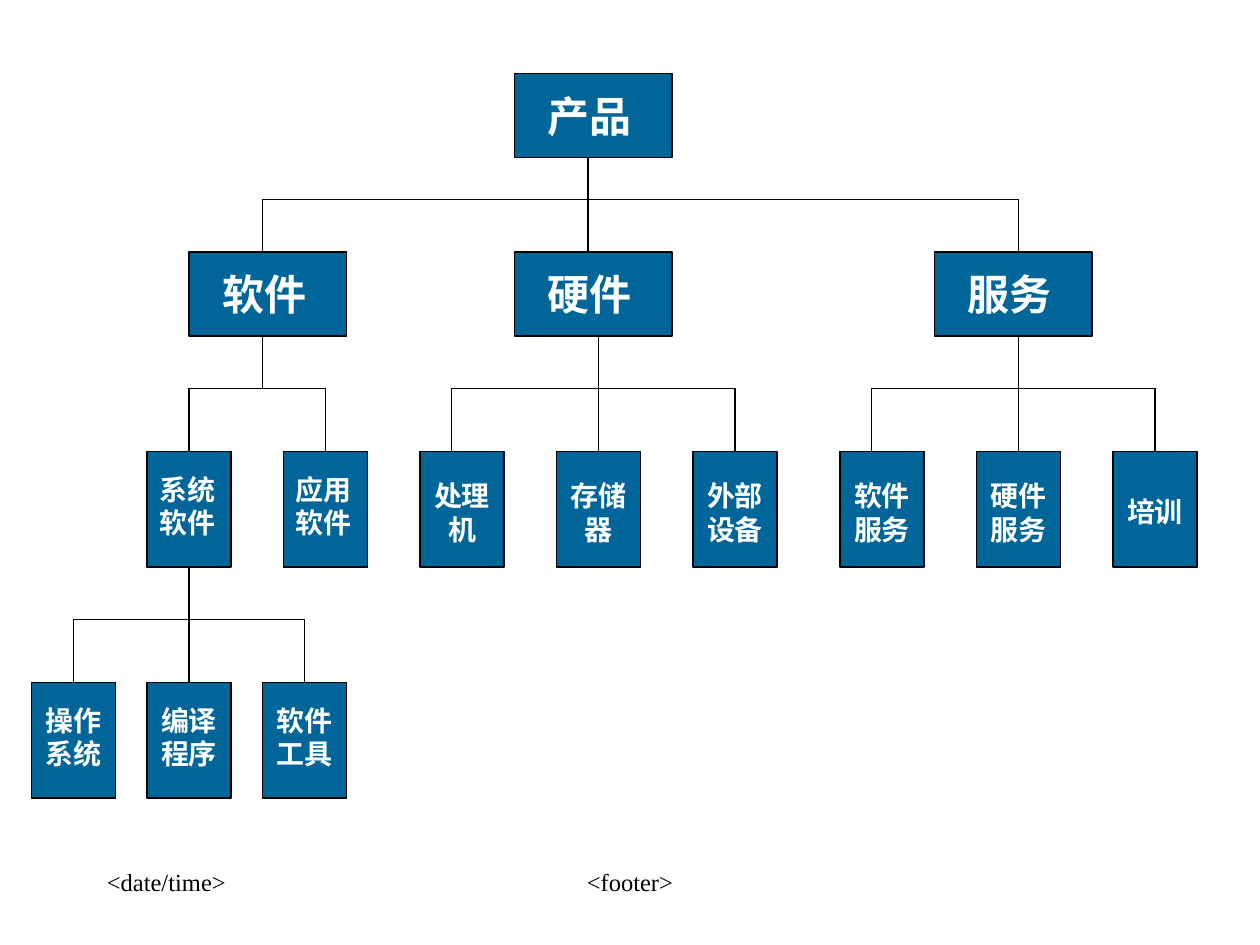
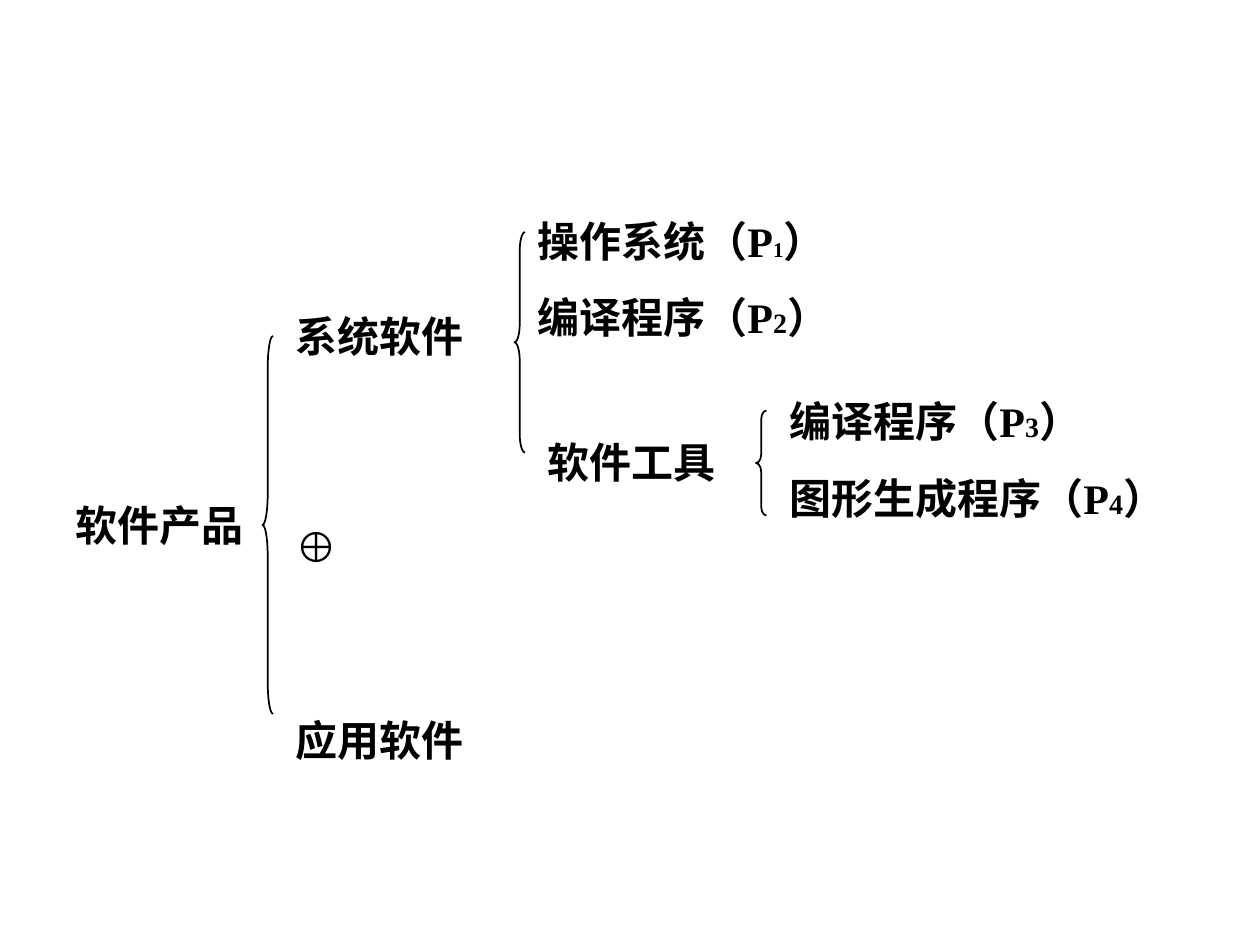
from lxml.etree import SubElement
from pptx import Presentation
from pptx.dml.color import RGBColor
from pptx.enum.shapes import MSO_CONNECTOR, MSO_SHAPE
from pptx.enum.text import MSO_ANCHOR, MSO_AUTO_SIZE, PP_ALIGN
from pptx.oxml.ns import qn
from pptx.util import Inches, Pt

COLUMNS, ROWS = 120, 90
BLACK, WHITE, BLUE = "000000", "FFFFFF", "006699"
SERIF, SANS = "Times New Roman", "Arial"
CENTER = PP_ALIGN.CENTER


def color(target, value):
    target.rgb = RGBColor.from_string(value)


def write(tf, paragraphs, size=24, font=SERIF, ink=BLACK, bold=True, align=None, gaps=()):
    for i, runs in enumerate(paragraphs):
        p = tf.add_paragraph() if i else tf.paragraphs[0]
        if align is not None:
            p.alignment = align
        if i:
            p.space_before = Pt(gaps[i - 1])
        for words, style in runs:
            r = p.add_run()
            r.text = words
            r.font.size = Pt(style.get("size", size))
            r.font.name = style.get("font", font)
            r.font.bold = bold
            color(r.font.color, ink)


def plain(words, **style):
    return [(words, style)]


def program(name, number, size=16):
    return [(f"{name}（P", {}), (number, {"size": size}), ("）", {})]


class Deck:
    def __init__(self):
        self.prs = Presentation()
        self.prs.slide_width, self.prs.slide_height = Inches(10), Inches(7.5)
        self.s = None

    def new_slide(self):
        self.s = self.prs.slides.add_slide(self.prs.slide_layouts[6])

    def grid(self, x, y):
        return (int(x * self.prs.slide_width / COLUMNS),
                int(y * self.prs.slide_height / ROWS))

    def area(self, x, y, w, h):
        return *self.grid(x, y), *self.grid(w, h)

    def outline(self, sp):
        color(sp.line.color, BLACK)
        sp.line.width = Pt(1)

    def text(self, x, y, w, h, paragraphs, grow=True, **style):
        tf = self.s.shapes.add_textbox(*self.area(x, y, w, h)).text_frame
        tf.word_wrap = True
        tf.vertical_anchor = MSO_ANCHOR.TOP
        tf.auto_size = MSO_AUTO_SIZE.SHAPE_TO_FIT_TEXT if grow else MSO_AUTO_SIZE.NONE
        write(tf, paragraphs, **style)

    def box(self, x, y, w, h):
        sp = self.s.shapes.add_shape(MSO_SHAPE.RECTANGLE, *self.area(x, y, w, h))
        sp.shadow.inherit = False
        sp.fill.solid()
        color(sp.fill.fore_color, BLUE)
        self.outline(sp)

    def branch_box(self, x, y, name):
        self.box(x, y, 15, 8)
        self.text(x + 2, y + 1, 19, 6, [plain(name)], ink=WHITE)

    def leaf_box(self, x, y, name, drop=1.4, h=7.7, align=CENTER):
        self.box(x, y, 8, 11)
        self.text(x, y + drop, 8, h, [plain(name)], size=16, ink=WHITE, align=align)

    def line(self, x1, y1, x2, y2):
        sp = self.s.shapes.add_connector(
            MSO_CONNECTOR.STRAIGHT, *self.grid(x1, y1), *self.grid(x2, y2))
        self.outline(sp)
        SubElement(sp._element.spPr, qn("a:effectLst"))

    def fork(self, trunk, left, right, top, bar, bottom, middle=True):
        self.line(left, bar, right, bar)
        self.line(trunk, top, trunk, bottom if middle else bar)
        for x in (left, right):
            self.line(x, bar, x, bottom)

    def brace(self, x, y, h):
        sp = self.s.shapes.add_shape(MSO_SHAPE.LEFT_BRACE, *self.area(x, y, 1, h))
        sp.shadow.inherit = False
        sp.adjustments[0] = h / 12
        sp.fill.background()
        self.outline(sp)


def product_tree(deck):
    deck.new_slide()
    deck.text(41, 82, 38, 6, [plain("<footer>")], grow=False,
              size=14, bold=False, align=CENTER)
    deck.text(9, 82, 25, 6, [plain("<date/time>")], grow=False, size=14, bold=False)

    deck.fork(56, 25, 97, 15, 19, 24)
    deck.fork(25, 18, 31, 32, 37, 43, middle=False)
    deck.fork(57, 43, 70, 32, 37, 43)
    deck.fork(97, 83, 110, 32, 37, 43)
    deck.fork(18, 7, 29, 54, 59, 65)

    deck.branch_box(49, 7, "产品")
    for x, name in ((18, "软件"), (49, "硬件"), (89, "服务")):
        deck.branch_box(x, 24, name)

    for i, name in enumerate(("系统软件", "应用软件")):
        deck.leaf_box(14 + 13 * i, 43, name, align=None)
    for start, names in ((40, ("处理机", "存储器", "外部设备")),
                         (80, ("软件服务", "硬件服务"))):
        for i, name in enumerate(names):
            deck.leaf_box(start + 13 * i, 43, name, drop=2)
    deck.leaf_box(106, 43, "培训", drop=3.5, h=4.4)
    for i, name in enumerate(("操作系统", "编译程序", "软件工具")):
        deck.leaf_box(3 + 11 * i, 65, name)


def product_formula(deck):
    deck.new_slide()
    deck.text(6, 47, 20, 6, [plain("软件产品")])
    deck.text(27, 29, 24, 44.4,
              [plain("系统软件"), plain("⊕", font=SANS), plain("应用软件")], gaps=(91, 82))
    deck.text(50, 19.9, 33, 13.3,
              [program("操作系统", "1", size=12), program("编译程序", "2")], gaps=(15,))
    deck.text(51, 41, 23, 6, [plain("软件工具")])
    deck.text(74, 37.1, 46, 13.3,
              [program("编译程序", "3"), program("图形生成程序", "4")], gaps=(15,))
    for x, y, h in ((25, 32, 36), (49, 22.1, 21), (72, 39.1, 10)):
        deck.brace(x, y, h)


def main():
    deck = Deck()
    product_tree(deck)
    product_formula(deck)
    deck.prs.save("out.pptx")


if __name__ == "__main__":
    main()
